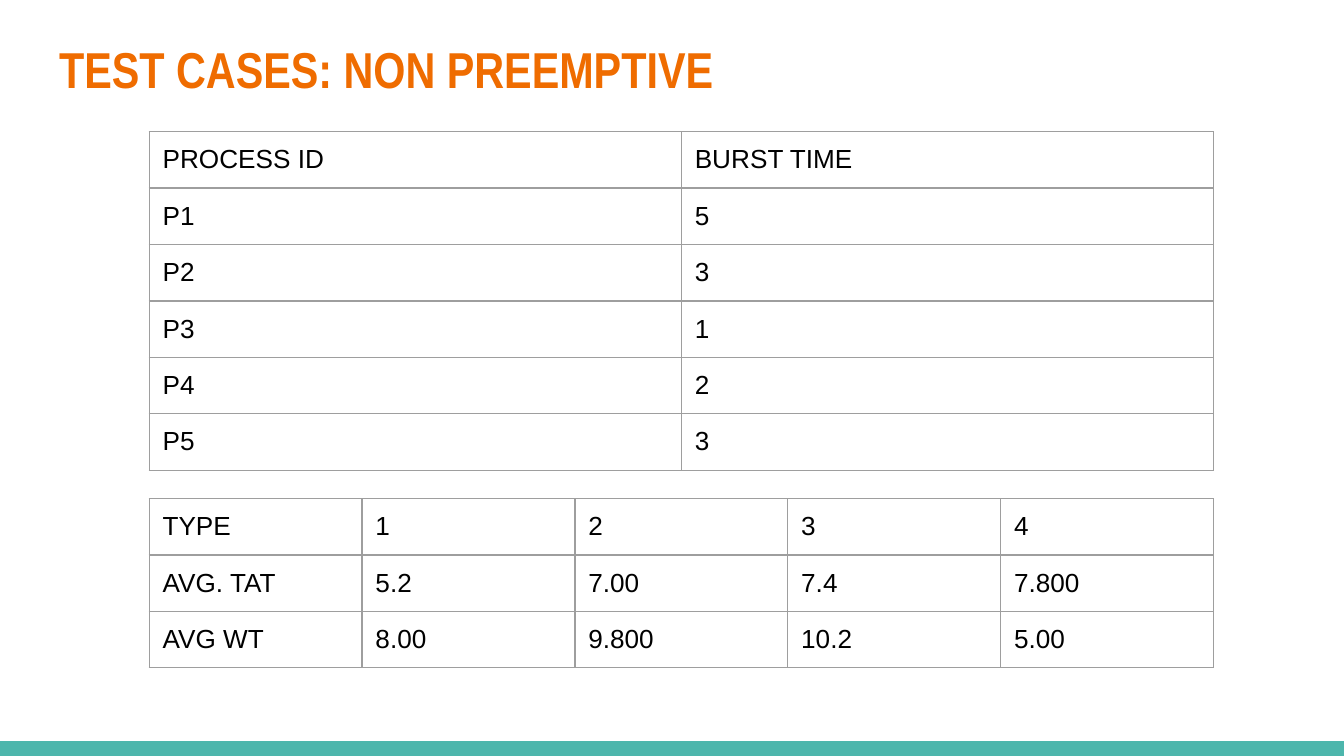
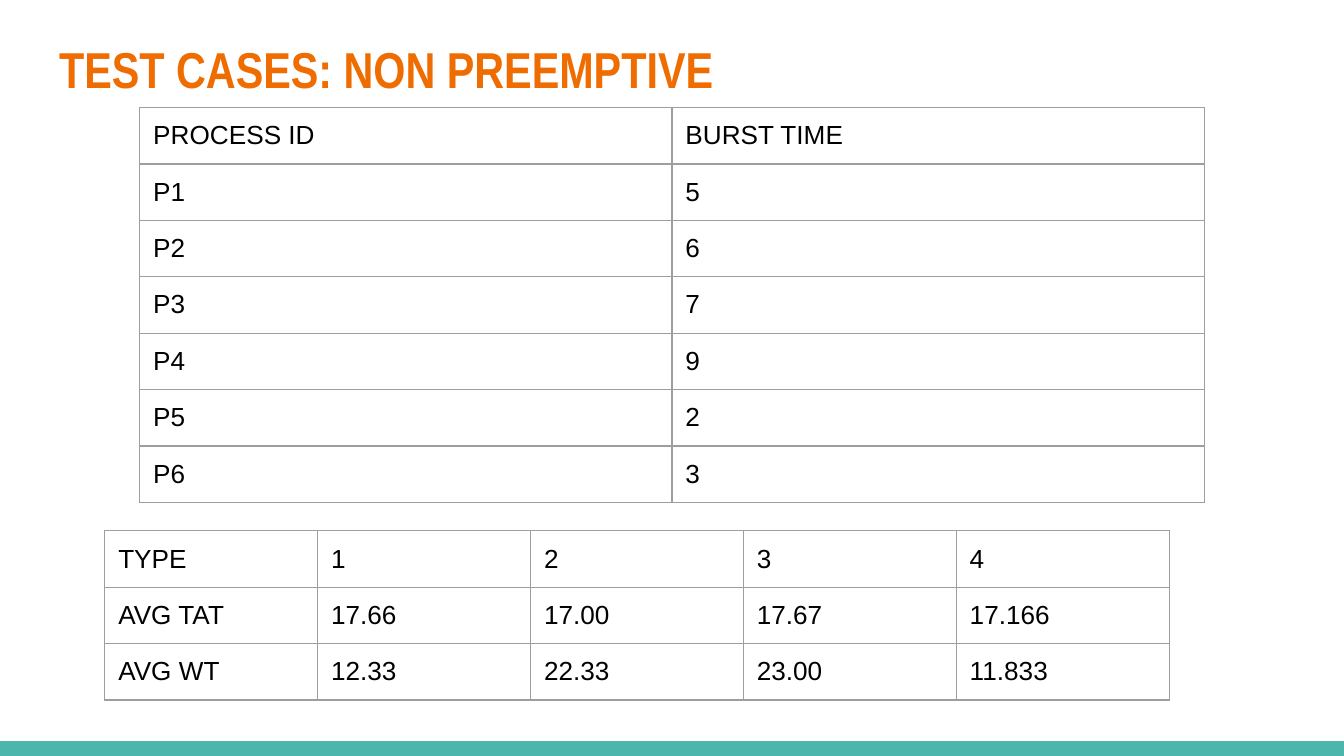
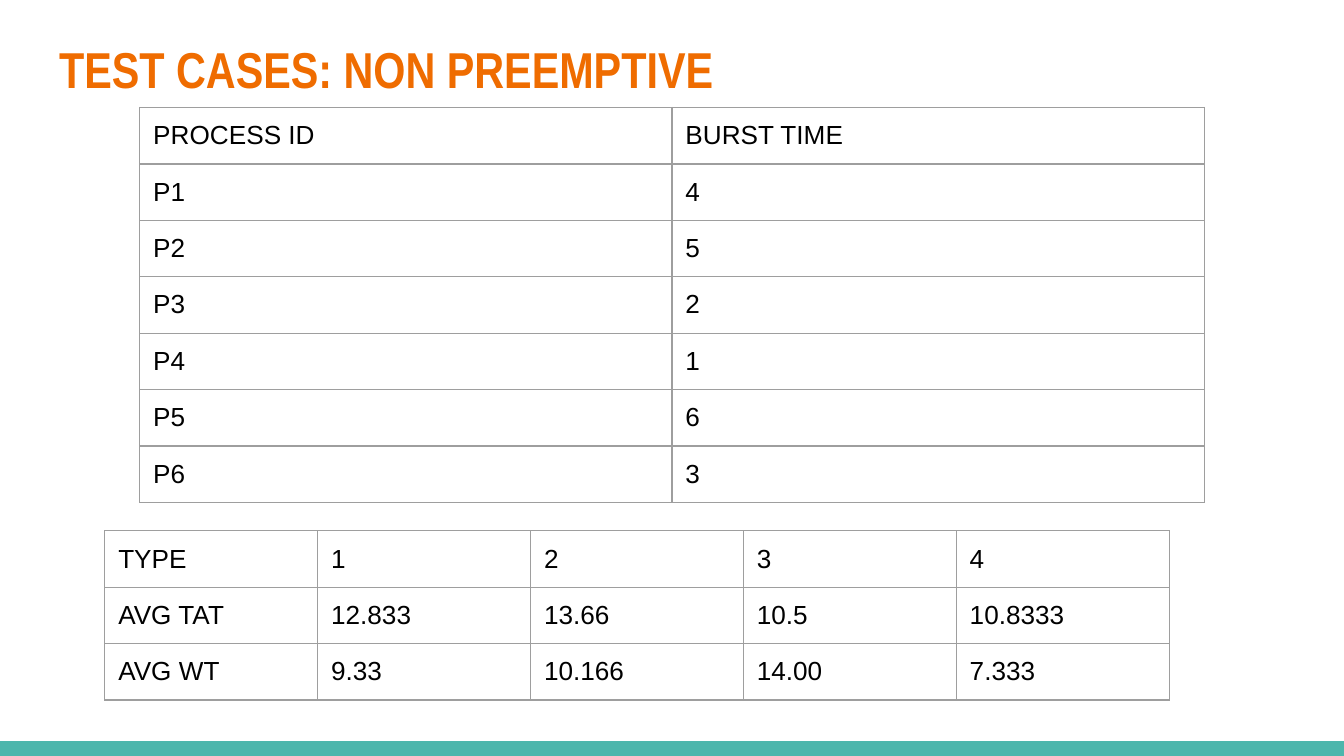
from lxml.etree import SubElement
from pptx import Presentation
from pptx.dml.color import RGBColor
from pptx.enum.shapes import MSO_SHAPE as Shape
from pptx.enum.text import MSO_ANCHOR as Anchor, PP_ALIGN as Align
from pptx.oxml.ns import qn
from pptx.util import Inches, Pt

# Grid of 0.1 inch cells
COLUMNS, ROWS = 100, 56.25
TITLE_ONLY = 5

TITLE = "TEST CASES: NON PREEMPTIVE"
TYPES = ["TYPE", "1", "2", "3", "4"]


def grid(cells):
    return Inches(cells / 10)


def color(hex_string):
    return RGBColor.from_string(hex_string)


def write(frame, text, *, font, size, ink, bold=False, anchor=Anchor.TOP):
    frame.word_wrap = True
    frame.vertical_anchor = anchor
    paragraph = frame.paragraphs[0]
    paragraph.alignment = Align.LEFT
    run = paragraph.add_run()
    run.text = text
    run.font.name = font
    run.font.size = Pt(size)
    run.font.bold = bold
    run.font.color.rgb = color(ink)


def set_margins(target, margin):
    target.margin_left = target.margin_right = margin
    target.margin_top = target.margin_bottom = margin


def draw_borders(cell, hex_string, width):
    properties = cell._tc.get_or_add_tcPr()
    for position, side in enumerate(("lnL", "lnR", "lnT", "lnB")):
        line = SubElement(properties, qn(f"a:{side}"), w=str(Pt(width)))
        fill = SubElement(line, qn("a:solidFill"))
        SubElement(fill, qn("a:srgbClr"), val=hex_string)
        properties.insert(position, line)


class Deck:
    """Shared style, and the slide being built."""

    ORANGE, TEAL, GRAY, BLACK, WHITE = "EF6C00", "4DB6AC", "9E9E9E", "000000", "FFFFFF"
    MARGIN = grid(1)
    TABLE_WIDTH, ROW_HEIGHT = 79.2, 4.2

    def __init__(self):
        self.presentation = Presentation()
        self.presentation.slide_width = grid(COLUMNS)
        self.presentation.slide_height = grid(ROWS)
        self.slide = None

    def new_slide(self, title):
        layout = self.presentation.slide_layouts[TITLE_ONLY]
        self.slide = self.presentation.slides.add_slide(layout)
        background = self.slide.background.fill
        background.solid()
        background.fore_color.rgb = color(self.WHITE)
        self.band()
        self.title(title)

    def band(self, height=1.1):
        band = self.slide.shapes.add_shape(
            Shape.RECTANGLE, 0, grid(ROWS - height), grid(COLUMNS), grid(height))
        band.shadow.inherit = False
        band.fill.solid()
        band.fill.fore_color.rgb = color(self.TEAL)
        band.line.fill.background()

    def title(self, text):
        shape = self.slide.shapes.title
        shape.left, shape.top = grid(3.4), grid(1.8)
        shape.width, shape.height = grid(93.2), grid(4.8)
        set_margins(shape.text_frame, self.MARGIN)
        write(shape.text_frame, text, font="Arial Narrow", size=27,
              ink=self.ORANGE, bold=True)

    def table(self, records, left, top):
        table = self.slide.shapes.add_table(
            len(records), len(records[0]), grid(left), grid(top),
            grid(self.TABLE_WIDTH), grid(self.ROW_HEIGHT * len(records))).table
        table.first_row = table.horz_banding = False
        for row, record in zip(table.rows, records):
            for cell, value in zip(row.cells, record):
                set_margins(cell, self.MARGIN)
                cell.fill.background()
                draw_borders(cell, self.GRAY, 0.75)
                write(cell.text_frame, value, font="Arial", size=14, ink=self.BLACK)

    def test_case(self, bursts, averages, burst_at, average_at):
        """Add a slide with the burst times above the averages for each type."""
        self.new_slide(TITLE)
        processes = [(f"P{number}", str(burst)) for number, burst in enumerate(bursts, 1)]
        self.table([("PROCESS ID", "BURST TIME"), *processes], *burst_at)
        self.table([TYPES, *averages], *average_at)


def main():
    deck = Deck()
    deck.test_case(
        [5, 3, 1, 2, 3],
        [["AVG. TAT", "5.2", "7.00", "7.4", "7.800"],
         ["AVG WT", "8.00", "9.800", "10.2", "5.00"]],
        burst_at=(11.1, 9.8), average_at=(11.1, 37.1))

    lower_places = {"burst_at": (10.4, 8), "average_at": (7.8, 39.5)}
    deck.test_case(
        [5, 6, 7, 9, 2, 3],
        [["AVG TAT", "17.66", "17.00", "17.67", "17.166"],
         ["AVG WT", "12.33", "22.33", "23.00", "11.833"]],
        **lower_places)
    deck.test_case(
        [4, 5, 2, 1, 6, 3],
        [["AVG TAT", "12.833", "13.66", "10.5", "10.8333"],
         ["AVG WT", "9.33", "10.166", "14.00", "7.333"]],
        **lower_places)
    deck.presentation.save("out.pptx")


if __name__ == "__main__":
    main()
